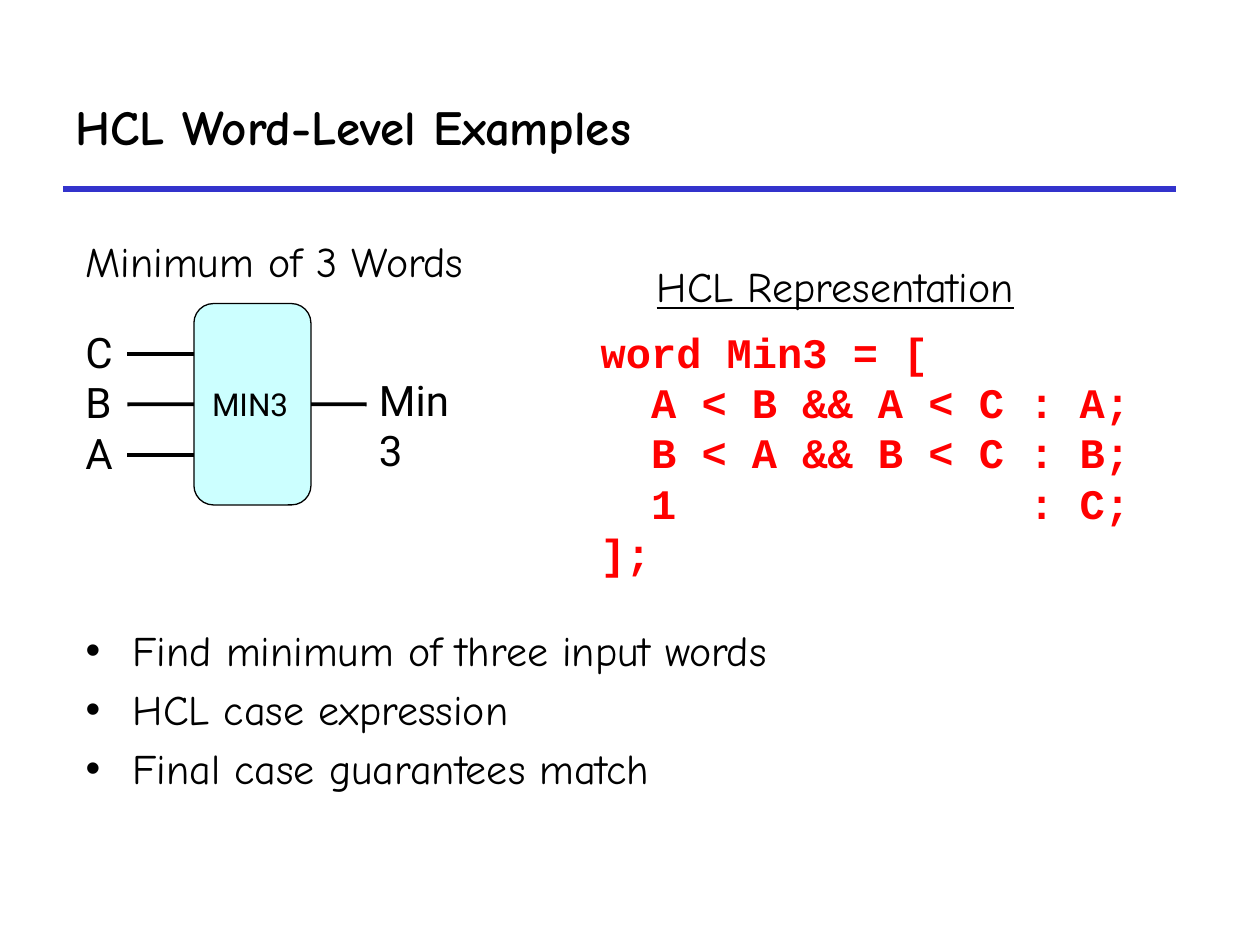
"""Build the slide on the HCL word-level minimum example."""
from dataclasses import dataclass

from lxml import etree
from pptx import Presentation
from pptx import util as u
from pptx.dml.color import RGBColor
from pptx.enum import shapes, text
from pptx.oxml.ns import qn

BLACK = RGBColor(0x00, 0x00, 0x00)
BLUE = RGBColor(0x33, 0x33, 0xCC)
CYAN = RGBColor(0xCC, 0xFF, 0xFF)
RED = RGBColor(0xFF, 0x00, 0x00)
HAND, SANS, MONO = "Comic Neue", "Roboto", "Courier New"

PIN_PITCH = 1.02
BOX_LEFT, BOX_TOP, BOX_WIDTH, BOX_HEIGHT = 3.91, 6.12, 2.36, 4.06
BOX_RIGHT, BOX_MIDDLE = BOX_LEFT + BOX_WIDTH, BOX_TOP + BOX_HEIGHT / 2
INPUTS = ("C", "B", "A")
CASES = (("A < B && A < C", "A"), ("B < A && B < C", "B"), ("1", "C"))
CODE = ["word Min3 = [", *(f"  {test:<15}: {word};" for test, word in CASES), "];"]
POINTS = ["Find minimum of three input words", "HCL case expression",
          "Final case guarantees match"]


@dataclass
class Label:
    text: str
    left: float
    top: float
    width: float
    height: float = 1.3
    font: str = SANS
    color: RGBColor = BLACK
    bold: bool = False
    underline: bool = False
    inset: float = 0.25
    wrap: bool = False


def style(tf, font: str, size: float, color: RGBColor = BLACK,
          bold: bool = False, underline: bool = False) -> None:
    for p in tf.paragraphs:
        for r in p.runs:
            r.font.name, r.font.size = font, u.Pt(size)
            r.font.bold, r.font.underline = bold, underline
            r.font.color.rgb = color


def place(sp, left: float, top: float, width: float, height: float) -> None:
    sp.left, sp.top = u.Cm(left), u.Cm(top)
    sp.width, sp.height = u.Cm(width), u.Cm(height)


def add_label(s, label: Label) -> None:
    sp = s.shapes.add_textbox(u.Cm(label.left), u.Cm(label.top),
                              u.Cm(label.width), u.Cm(label.height))
    tf = sp.text_frame
    tf.text = label.text
    tf.word_wrap = label.wrap
    tf.margin_left = tf.margin_right = u.Cm(label.inset)
    style(tf, label.font, 24, label.color, label.bold, label.underline)


def add_line(s, left: float, right: float, y: float,
             color: RGBColor = BLACK, width: float = 2.25):
    line = s.shapes.add_connector(shapes.MSO_CONNECTOR.STRAIGHT,
                                  u.Cm(left), u.Cm(y), u.Cm(right), u.Cm(y))
    line.line.color.rgb, line.line.width = color, u.Pt(width)
    etree.SubElement(line._element.spPr, qn("a:effectLst"))
    return line


def add_box(s):
    sp = s.shapes.add_shape(shapes.MSO_SHAPE.ROUNDED_RECTANGLE, 0, 0, 0, 0)
    place(sp, BOX_LEFT, BOX_TOP, BOX_WIDTH, BOX_HEIGHT)
    sp.shadow.inherit = False
    sp.fill.solid()
    sp.fill.fore_color.rgb = CYAN
    sp.line.color.rgb, sp.line.width = BLACK, u.Pt(0.75)
    tf = sp.text_frame
    tf.text, tf.word_wrap = "MIN3", False
    style(tf, SANS, 18)
    return sp


def add_diagram(s) -> None:
    box = add_box(s)
    for i, name in enumerate(INPUTS):
        y = BOX_MIDDLE + (i - 1) * PIN_PITCH
        line = add_line(s, 2.57, BOX_LEFT, y)
        if y == BOX_MIDDLE:
            line.end_connect(box, 1)
        add_label(s, Label(name, 1.47, y - 0.68, 1.12))
    add_line(s, BOX_RIGHT, 7.39, BOX_MIDDLE).begin_connect(box, 3)
    add_label(s, Label("Min3", 7.39, 7.42, 2.2, wrap=True))


def fill_placeholders(s) -> None:
    title, body = s.shapes.title, s.placeholders[1]
    place(title, 1.27, 1.27, 22.43, 2.54)
    tf = title.text_frame
    tf.text = "HCL Word-Level Examples"
    tf.vertical_anchor = text.MSO_ANCHOR.MIDDLE
    tf.paragraphs[0].alignment = text.PP_ALIGN.LEFT
    style(tf, HAND, 28, bold=True)
    place(body, 1.47, 12.47, 21.79, 4.67)
    tf = body.text_frame
    tf.text = "\n".join(POINTS)
    tf.auto_size = text.MSO_AUTO_SIZE.NONE
    style(tf, HAND, 24)


def main() -> None:
    prs = Presentation()
    prs.slide_width, prs.slide_height = u.Cm(25.4), u.Cm(19.05)
    s = prs.slides.add_slide(prs.slide_layouts[1])
    fill_placeholders(s)
    add_line(s, 1.27, 23.7, 3.81, BLUE, 3)
    add_diagram(s)
    for label in (
        Label("\n".join(CODE), 11.86, 6.45, 12.5, 5.38, MONO, RED, bold=True, wrap=True),
        Label("Minimum of 3 Words", 1.6, 4.62, 8.56, font=HAND, inset=0.13),
        Label("HCL Representation", 13.11, 5.13, 8.48, font=HAND, underline=True, inset=0.13),
    ):
        add_label(s, label)
    prs.save("out.pptx")


if __name__ == "__main__":
    main()
